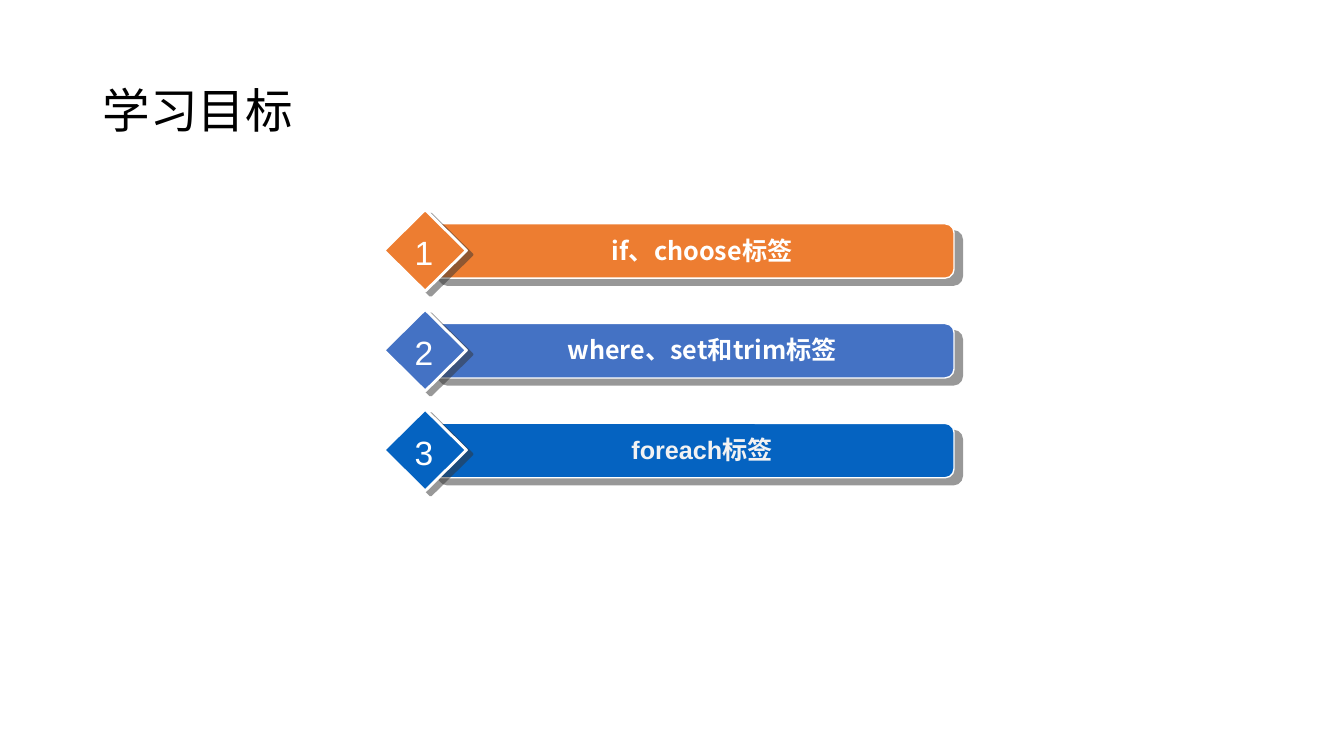
from lxml import etree
from pptx import Presentation, util as u
from pptx.dml.color import RGBColor
from pptx.enum import shapes, text
from pptx.oxml.ns import qn

HUES = {
    "orange": "ED7D31", "blue": "4472C4", "deep": "0563C1",
    "white": "FFFFFF", "pale": "F2F2F2", "black": "000000", "shade": "333333",
}
SANS = "Noto Sans CJK SC"
GOALS = [
    ("if、choose标签", "orange", SANS, "white"),
    ("where、set和trim标签", "blue", SANS, "white"),
    ("foreach标签", "deep", "Arial", "pale"),
]
STEP = 13.2


class Deck:
    """Draws styled parts on one slide, with places in percent of its size."""

    def __init__(self, wide, high):
        self.prs = Presentation()
        self.prs.slide_width = u.Inches(wide)
        self.prs.slide_height = u.Inches(high)
        self.slide = self.prs.slides.add_slide(self.prs.slide_layouts[6])

    def place(self, left, top, wide, high):
        across, down = self.prs.slide_width, self.prs.slide_height
        return (int(left * across / 100), int(top * down / 100),
                int(wide * across / 100), int(high * down / 100))

    def hue(self, name):
        return RGBColor.from_string(HUES[name])

    def shadow(self, shape, dist, angle):
        shape.shadow.inherit = False
        effects = shape._element.spPr.find(qn("a:effectLst"))
        outer = etree.SubElement(
            effects, qn("a:outerShdw"), blurRad="0", dist=str(u.Pt(dist)),
            dir=str(angle * 60000), algn="ctr", rotWithShape="0")
        color = etree.SubElement(outer, qn("a:srgbClr"), val=HUES["shade"])
        etree.SubElement(color, qn("a:alpha"), val="50000")

    def shape(self, group, kind, box, fill, line, dist, angle):
        shape = group.shapes.add_shape(kind, *self.place(*box))
        shape.fill.solid()
        shape.fill.fore_color.rgb = self.hue(fill)
        shape.line.color.rgb = self.hue("white")
        shape.line.width = u.Pt(line)
        self.shadow(shape, dist, angle)

    def label(self, group, words, box, size, font, hue, bold=False, wrap=True):
        frame = group.shapes.add_textbox(*self.place(*box)).text_frame
        frame.word_wrap = wrap
        frame.margin_left = frame.margin_right = u.Inches(0.07)
        frame.margin_top = frame.margin_bottom = u.Inches(0.04)
        para = frame.paragraphs[0]
        para.text = words
        para.alignment = text.PP_ALIGN.CENTER
        para.font.size = u.Pt(size)
        para.font.name = font
        para.font.bold = bold
        para.font.color.rgb = self.hue(hue)
        return frame

    def title(self, words, box):
        frame = self.label(self.slide, words, box, 34, "Calibri", "black")
        frame.margin_left = frame.margin_right = u.Inches(0.1)
        frame.vertical_anchor = text.MSO_ANCHOR.MIDDLE
        frame.paragraphs[0].alignment = text.PP_ALIGN.LEFT
        frame.paragraphs[0].line_spacing = 0.9

    def goal(self, index, words, fill, font, hue):
        drop = index * STEP
        group = self.slide.shapes.add_group_shape()
        kinds = shapes.MSO_SHAPE
        self.shape(group, kinds.ROUNDED_RECTANGLE,
                   (32.01, 29.6 + drop, 38.98, 7.2), fill, 1, 7.8, 40)
        self.shape(group, kinds.DIAMOND,
                   (28.56, 27.73 + drop, 6.15, 10.8), fill, 2, 5, 37)
        self.label(group, words, (34.03, 30.53 + drop, 36.43, 5.07),
                   18, font, hue, bold=True)
        self.label(group, str(index + 1), (30.28, 30.13 + drop, 2.55, 6.4),
                   24, "Arial", "white", wrap=False)


def main():
    deck = Deck(13.34, 7.5)
    deck.title("学习目标", (6.9, 5.33, 86.21, 19.33))
    for index, goal in enumerate(GOALS):
        deck.goal(index, *goal)
    deck.prs.save("out.pptx")


if __name__ == "__main__":
    main()
